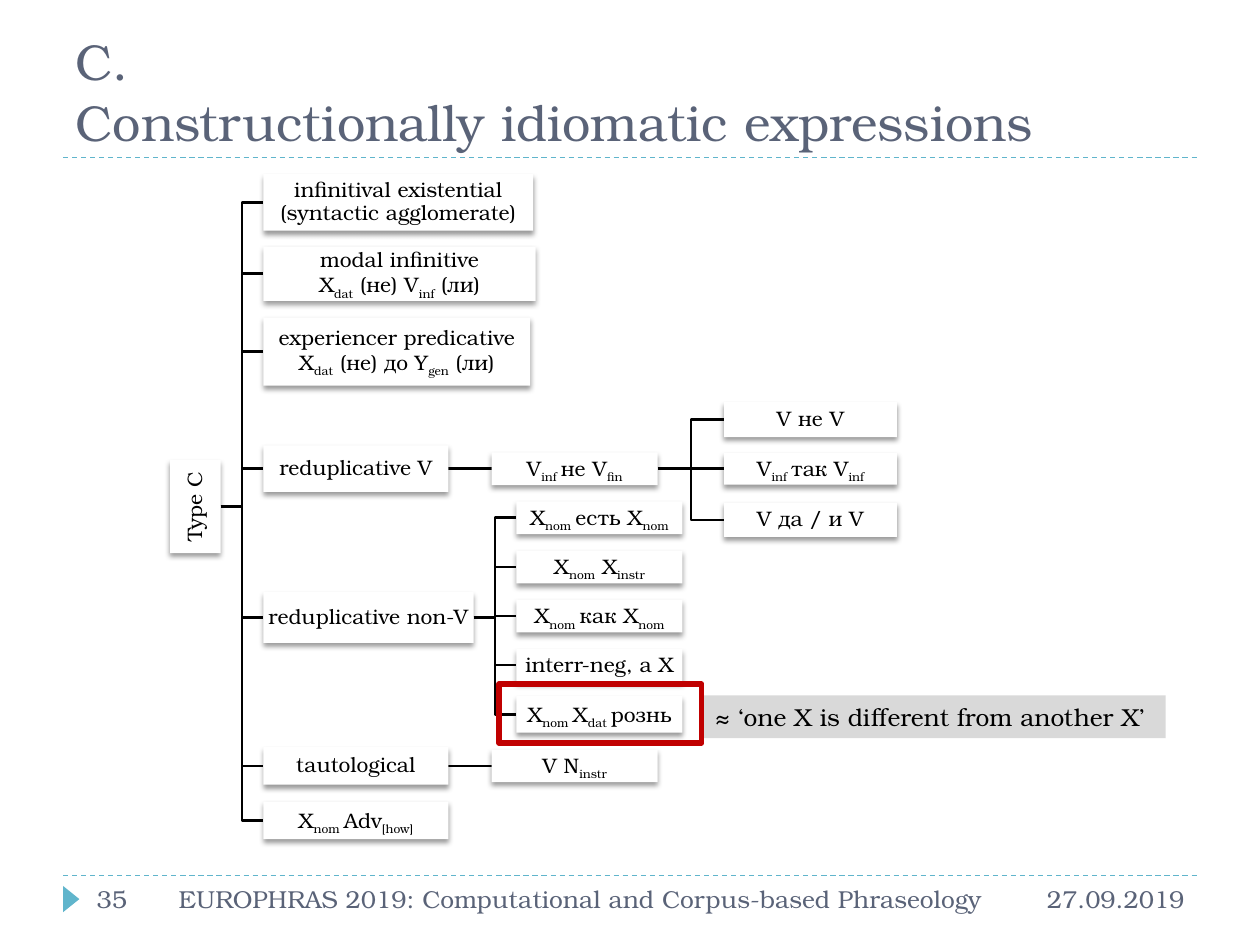
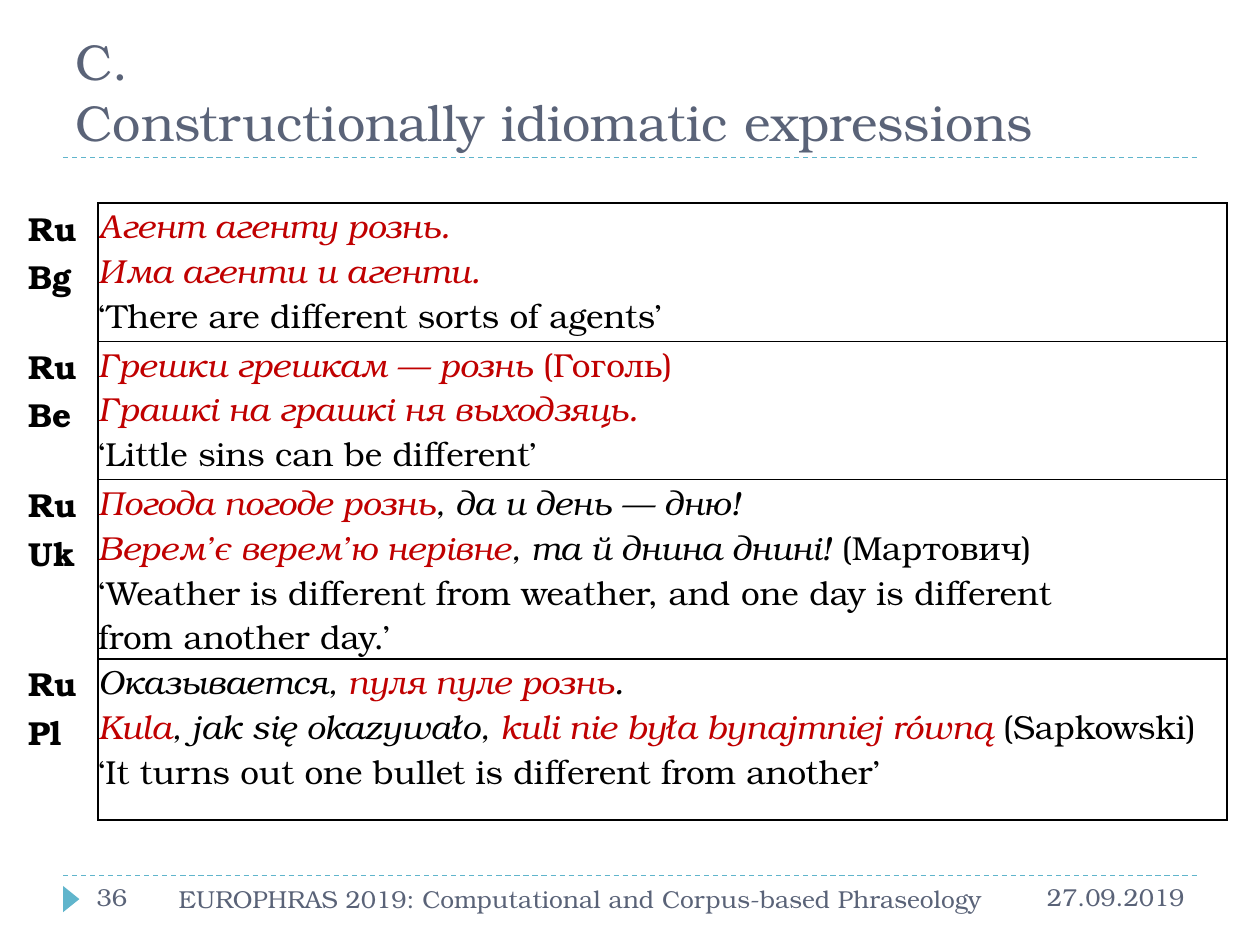
from copy import deepcopy

from lxml.etree import SubElement
from pptx import Presentation
from pptx.dml.color import RGBColor
from pptx.enum.dml import MSO_LINE
from pptx.enum.shapes import MSO_CONNECTOR, MSO_SHAPE
from pptx.enum.text import MSO_ANCHOR, PP_ALIGN
from pptx.oxml import parse_xml
from pptx.oxml.ns import nsdecls, qn
from pptx.util import Cm, Pt

FONT = "TeX Gyre Bonum"
SLATE = RGBColor(0x5A, 0x63, 0x78)
TEAL = RGBColor(0x60, 0xB5, 0xCC)
RED = RGBColor(0xC0, 0x00, 0x00)
GREY = RGBColor(0xD9, 0xD9, 0xD9)
BLACK = RGBColor(0, 0, 0)
WHITE = RGBColor(0xFF, 0xFF, 0xFF)
NO_STYLE = "{2D5ABB26-0587-4C30-8999-92F81FD0307C}"

TITLE = "C.\nConstructionally idiomatic expressions"
EVENT = "EUROPHRAS 2019: Computational and Corpus-based Phraseology"
DATE = "27.09.2019"

# Tree columns (left edges) and vertical rhythm, in cm
COL_1, COL_2, COL_2B, COL_3 = 5.31, 9.91, 10.41, 14.6
NOUN_TOP, NOUN_STEP = 10.44, 0.99
NOUN_PATTERNS = [
    ("X_nom _есть X_nom_", 3.35, 0.66),
    ("X_nom_ X_instr_", 3.35, 0.66),
    ("X_nom _как X_nom_", 3.35, 0.66),
    ("interr-neg, а X", 3.35, 0.66),
    ("X_nom _X_dat _рознь", 3.35, 0.74),
]
# Node: text (subscripts between underscores), left, middle, width, height, children
VERB_PATTERNS = [
    ("V не V", COL_3, 8.46, 3.48, 0.71, []),
    ("V_inf _так V_inf_", COL_3, 9.45, 3.48, 0.64, []),
    ("V да / и V", COL_3, 10.48, 3.48, 0.69, []),
]
BRANCHES = [
    ("infinitival existential\n(syntactic agglomerate)", COL_1, 4.08, 5.44, 1.14, []),
    ("modal infinitive\nX_dat_ (не) V_inf_ (ли)", COL_1, 5.52, 5.49, 1.09, []),
    ("experiencer predicative\nX_dat_ (не) до Y_gen_ (ли)", COL_1, 7.09, 5.38, 1.37, []),
    ("reduplicative V", COL_1, 9.45, 3.73, 0.94,
     [("V_inf _не V_fin_", COL_2, 9.45, 3.35, 0.66, VERB_PATTERNS)]),
    ("reduplicative non-V", COL_1, 12.45, 4.24, 1.02,
     [(text, COL_2B, NOUN_TOP + i * NOUN_STEP, w, h, [])
      for i, (text, w, h) in enumerate(NOUN_PATTERNS)]),
    ("tautological", COL_1, 15.44, 3.73, 0.76,
     [("V N_instr_", COL_2, 15.44, 3.35, 0.66, [])]),
    ("X_nom _Аdv_[how]_", COL_1, 16.54, 3.73, 0.76, []),
]
ROOT = ("Type C", 3.43, 10.21, 1.02, 1.88, BRANCHES)
GLOSS = "≈ ‘one X is different from another X’"

# Row: height, language labels, paragraphs of (text, style); r = red, i = italic
COLUMNS = (1.4, 22.76)
EXAMPLES = [
    (2.79, ("Ru", "Bg"), [
        [("Агент агенту рознь.", "ri")],
        [("Има агенти и агенти.", "ri")],
        [("‘There are different sorts of agents’", "")]]),
    (2.79, ("Ru", "Be"), [
        [("Грешки грешкам ― рознь", "ri"), (" (Гоголь)", "r")],
        [("Грашкі на грашкі ня выходзяць.", "ri")],
        [("‘Little sins can be different’", "")]]),
    (3.61, ("Ru", "Uk"), [
        [("Погода погоде рознь", "ri"), (", да и день — дню!", "i")],
        [("Верем’є верем’ю нерівне", "ri"), (", та й днина днині! ", "i"), ("(Мартович)", "")],
        [("‘Weather is different from weather, and one day is different\nfrom another day.’", "")]]),
    (3.25, ("Ru", "Pl"), [
        [("Оказывается, ", "i"), ("пуля пуле рознь", "ri"), (".", "i")],
        [("Kula", "ri"), (", jak się okazywało, ", "i"),
         ("kuli nie była bynajmniej równą ", "ri"), ("(Sapkowski)", "")],
        [("‘It turns out one bullet is different from another’", "")]]),
]


def add_text(p, text, size, color=BLACK, **formats):
    """Append formatted runs to a paragraph; newlines become line breaks."""
    for i, line in enumerate(text.split("\n")):
        if i:
            p.add_line_break()
            p._p[-1].append(deepcopy(r._r.rPr))
        r = p.add_run()
        r.text = line
        r.font.color.rgb = color
        for name, value in {"name": FONT, "size": Pt(size), **formats}.items():
            setattr(r.font, name, value)
    return r


def add_subscripted(p, text, size):
    """Append text in which underscores switch subscript on and off."""
    for i, part in enumerate(text.split("_")):
        if part:
            r = add_text(p, part, size)
            if i % 2:
                r._r.get_or_add_rPr().set("baseline", "-25000")


def set_frame(tf, margin=None, **formats):
    """Set text frame attributes and, optionally, one margin for all sides."""
    for name, value in formats.items():
        setattr(tf, name, value)
    if margin is not None:
        for side in ("left", "right", "top", "bottom"):
            setattr(tf, "margin_" + side, Cm(margin))


def add_block(s, kind, box, fill=None, line=None, weight=1):
    """Add a shadowless preset shape with the given fill and outline."""
    sp = s.shapes.add_shape(kind, *map(Cm, box))
    sp.shadow.inherit = False
    if fill is None:
        sp.fill.background()
    else:
        sp.fill.solid()
        sp.fill.fore_color.rgb = fill
    if line is None:
        sp.line.fill.background()
    else:
        sp.line.color.rgb = line
        sp.line.width = Pt(weight)
    return sp


def add_line(s, kind, ends, color, weight):
    """Add a shadowless connector between two points."""
    c = s.shapes.add_connector(kind, *map(Cm, ends))
    c.line.color.rgb = color
    c.line.width = Pt(weight)
    SubElement(c._element.spPr, qn("a:effectLst"))
    return c


def add_label(s, box, text, align):
    """Add one footer text."""
    tf = s.shapes.add_textbox(*map(Cm, box)).text_frame
    tf.word_wrap = True
    p = tf.paragraphs[0]
    p.alignment = align
    add_text(p, text, 14, SLATE)


def add_slide(prs, number, edge_top):
    """Add a slide with the shared title, rules, marker and footer."""
    s = prs.slides.add_slide(prs.slide_layouts[5])
    for y in (17.65, 3.18):
        c = add_line(s, MSO_CONNECTOR.STRAIGHT, (1.27, y, 24.13, y), TEAL, 0.75)
        c.line.dash_style = MSO_LINE.DASH
    add_block(s, MSO_SHAPE.ISOSCELES_TRIANGLE, (1.17, 17.96, 0.53, 0.33), TEAL).rotation = 90

    title = s.shapes.title
    title.left, title.top, title.width, title.height = map(Cm, (1.27, 0.64, 22.86, 2.54))
    set_frame(title.text_frame, vertical_anchor=MSO_ANCHOR.BOTTOM, word_wrap=True)
    p = title.text_frame.paragraphs[0]
    p.alignment, p.line_spacing = PP_ALIGN.LEFT, 1.0
    add_text(p, TITLE, 28.8, SLATE)

    add_label(s, (19.66, edge_top, 4.47, 1.02), DATE, PP_ALIGN.RIGHT)
    add_label(s, (3.2, 17.7, 17, 1.02), EVENT, PP_ALIGN.CENTER)
    add_label(s, (1.7, edge_top, 1.3, 1.02), str(number), PP_ALIGN.LEFT)
    return s


def add_branches(s, node):
    """Draw the lines from a node to its children, then the lines below them."""
    _, left, middle, width, _, children = node
    start = left + width
    for child in children:
        kind = MSO_CONNECTOR.STRAIGHT if child[2] == middle else MSO_CONNECTOR.ELBOW
        add_line(s, kind, (start, middle, child[1], child[2]), BLACK, 1.5)
        add_branches(s, child)


def add_node(s, node, upright=False):
    """Draw a node box with a soft shadow, then its children."""
    text, left, middle, width, height, children = node
    center = left + width / 2
    if upright:
        width, height = height, width
    sp = add_block(s, MSO_SHAPE.RECTANGLE,
                   (center - width / 2, middle - height / 2, width, height), WHITE)
    sp.rotation = 270 if upright else 0
    sp._element.spPr.find(qn("a:effectLst")).append(parse_xml(
        f'<a:outerShdw {nsdecls("a")} blurRad="38100" dist="25400" dir="5400000"'
        ' rotWithShape="0"><a:srgbClr val="000000"><a:alpha val="40000"/>'
        '</a:srgbClr></a:outerShdw>'))
    set_frame(sp.text_frame, 0.02, vertical_anchor=MSO_ANCHOR.MIDDLE, word_wrap=True)
    p = sp.text_frame.paragraphs[0]
    p.alignment, p.line_spacing = PP_ALIGN.CENTER, 0.9
    add_subscripted(p, text, 12)
    for child in children:
        add_node(s, child)


def set_borders(cell, sides):
    """Draw thin black borders on the named sides and none on the others."""
    tcPr = cell._tc.get_or_add_tcPr()
    for i, side in enumerate("LRTB"):
        paint = '<a:srgbClr val="000000"/>'
        paint = f"<a:solidFill>{paint}</a:solidFill>" if side in sides else "<a:noFill/>"
        tcPr.insert(i, parse_xml(f'<a:ln{side} {nsdecls("a")} w="12700">{paint}</a:ln{side}>'))


def fill_cell(cell, paragraphs, sides, bold=False):
    """Write styled paragraphs into an unfilled cell."""
    cell.fill.background()
    set_borders(cell, sides)
    set_frame(cell, 0)
    tf = cell.text_frame
    for i, runs in enumerate(paragraphs):
        p = tf.add_paragraph() if i else tf.paragraphs[0]
        for text, style in runs:
            add_text(p, text, 19, RED if "r" in style else BLACK,
                     bold=bold, italic="i" in style)


def build_tree_slide(prs):
    """Tree of construction types with one pattern highlighted."""
    s = add_slide(prs, 35, 17.7)
    add_branches(s, ROOT)
    add_node(s, ROOT, upright=True)
    sp = add_block(s, MSO_SHAPE.RECTANGLE, (14.15, 14.02, 9.35, 0.86), GREY)
    set_frame(sp.text_frame, word_wrap=False, vertical_anchor=MSO_ANCHOR.TOP)
    p = sp.text_frame.paragraphs[0]
    p.alignment = PP_ALIGN.LEFT
    add_text(p, GLOSS, 14)
    add_block(s, MSO_SHAPE.RECTANGLE, (10.06, 13.79, 4.09, 1.19), line=RED, weight=3)


def build_examples_slide(prs):
    """Table of parallel examples by language."""
    s = add_slide(prs, 36, 17.65)
    height = sum(row[0] for row in EXAMPLES)
    table = s.shapes.add_table(len(EXAMPLES), 2, Cm(0.58), Cm(4.09),
                               Cm(sum(COLUMNS)), Cm(height)).table
    table.first_row = table.horz_banding = False
    table._tbl.tblPr.find(qn("a:tableStyleId")).text = NO_STYLE
    for column, width in zip(table.columns, COLUMNS):
        column.width = Cm(width)
    for i, (row_height, languages, examples) in enumerate(EXAMPLES):
        table.rows[i].height = Cm(row_height)
        fill_cell(table.cell(i, 0), [[(name, "")] for name in languages], "R", bold=True)
        fill_cell(table.cell(i, 1), examples, "LRTB")


prs = Presentation()
prs.slide_width, prs.slide_height = Cm(25.4), Cm(19.05)
build_tree_slide(prs)
build_examples_slide(prs)
prs.save("out.pptx")
